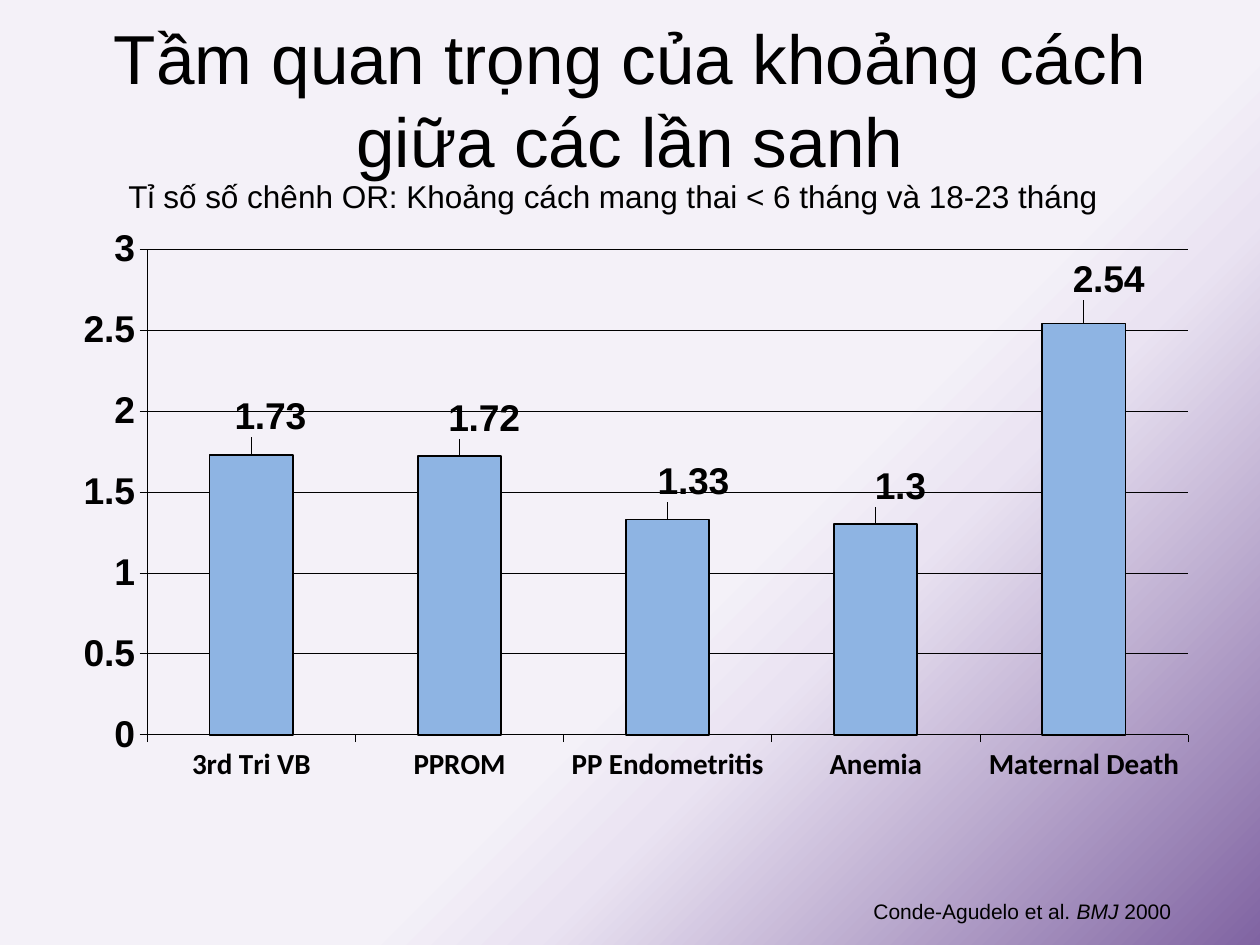
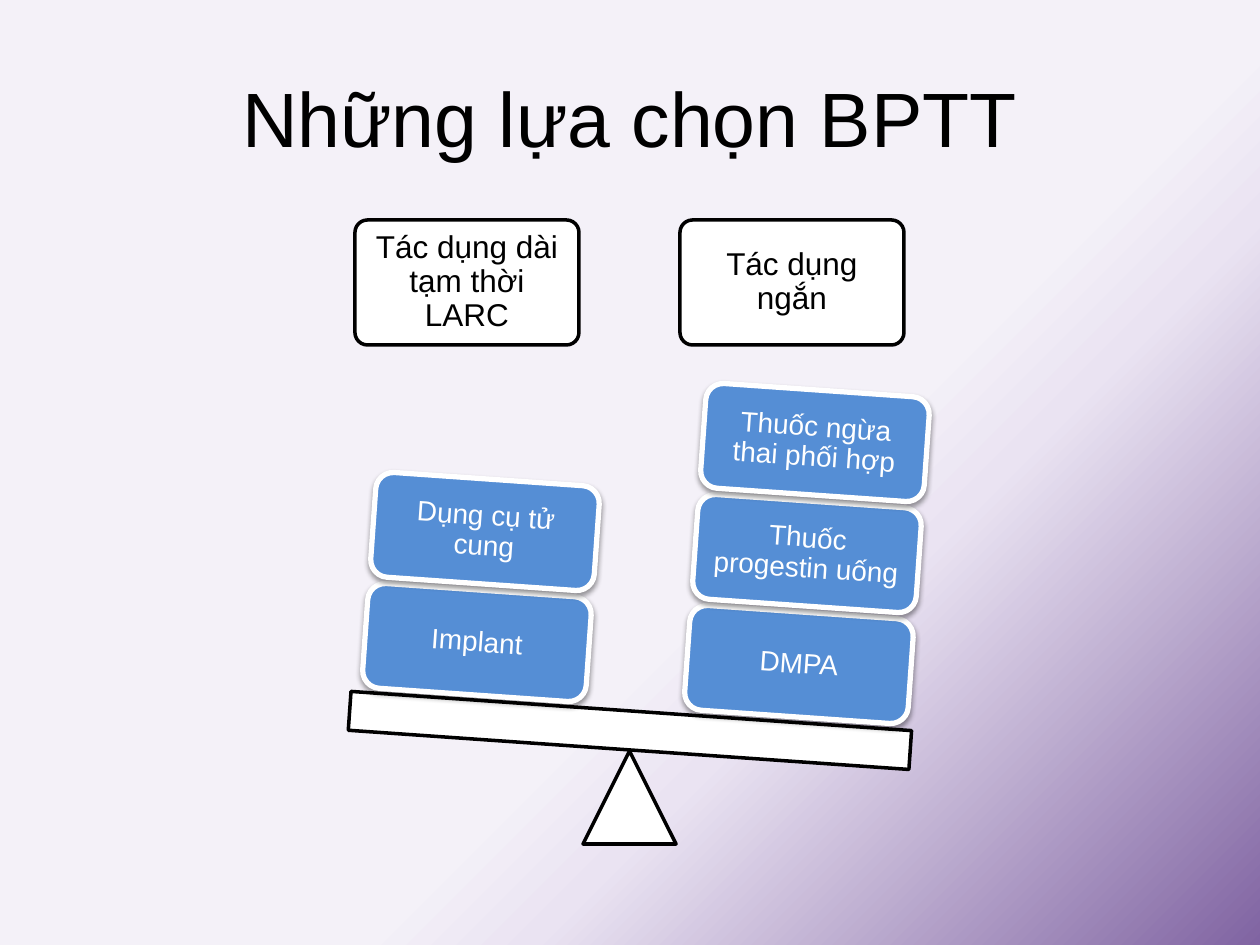
import pptx
import pptx.chart.data
import pptx.dml.color
import pptx.enum.chart
import pptx.enum.shapes
import pptx.enum.text
import pptx.oxml
import pptx.oxml.ns
import pptx.util

RGBColor = pptx.dml.color.RGBColor
BLACK = RGBColor(0x00, 0x00, 0x00)
WHITE = RGBColor(0xFF, 0xFF, 0xFF)
BAR_BLUE = RGBColor(0x8E, 0xB4, 0xE3)
BLOCK_BLUE = RGBColor(0x55, 0x8E, 0xD5)
PURPLE = RGBColor(0x80, 0x64, 0xA2)
LILAC = RGBColor(0xEA, 0xE3, 0xF2)
PALE = RGBColor(0xF4, 0xF1, 0xF8)

SCALE = 914400 / 126  # EMU in one px
SHAPES = pptx.enum.shapes.MSO_SHAPE
ALIGN = pptx.enum.text.PP_ALIGN
ANCHOR = pptx.enum.text.MSO_ANCHOR


def px(*lengths):
    return [round(length * SCALE) for length in lengths]


def xml(markup):
    """Parse one element whose tag may use the a: and c: prefixes."""
    tag, rest = markup[1:].split(">", 1)
    namespaces = pptx.oxml.ns.nsdecls("a", "c")
    return pptx.oxml.parse_xml(f"<{tag} {namespaces}>{rest}")


def set_font(font, size, name="Arial", color=BLACK, bold=None, italic=None):
    font.size, font.name = pptx.util.Pt(size), name
    font.bold, font.italic = bold, italic
    font.color.rgb = color


def write(frame, text, size=18, color=BLACK, align=ALIGN.LEFT,
          anchor=ANCHOR.TOP, inset=None, spacing=None, italic_part=None):
    """Fill a text frame with one paragraph; italic_part is set in italics."""
    frame.word_wrap = True
    frame.vertical_anchor = anchor
    if inset is not None:
        frame.margin_left = frame.margin_right = px(inset)[0]
        frame.margin_top = frame.margin_bottom = px(inset)[0]
    paragraph = frame.paragraphs[0]
    paragraph.alignment = align
    if spacing:
        paragraph.line_spacing = spacing
    if italic_part:
        before, after = text.split(italic_part)
        parts = [before, italic_part, after]
    else:
        parts = [text]
    for part in parts:
        run = paragraph.add_run()
        run.text = part
        set_font(run.font, size, color=color,
                 italic=True if part == italic_part else None)


def manual_layout(**values):
    fields = "".join(f'<c:{key} val="{value}"/>' for key, value in values.items())
    return xml(f"<c:layout><c:manualLayout>{fields}</c:manualLayout></c:layout>")


class Deck:
    def __init__(self):
        self.prs = pptx.Presentation()
        self.prs.slide_width, self.prs.slide_height = px(1260, 945)
        self.slide = None

    def new_slide(self, title, size=44, height=158):
        self.slide = self.prs.slides.add_slide(self.prs.slide_layouts[6])
        self.background()
        self.text((63, 38, 1134, height), title, size=size,
                  align=ALIGN.CENTER, anchor=ANCHOR.MIDDLE)

    def background(self):
        """Purple glow that spreads from the bottom right corner."""
        self.slide.background.fill.gradient()
        stops = "".join(
            f'<a:gs pos="{percent}000"><a:srgbClr val="{color}"/></a:gs>'
            for percent, color in ((0, PURPLE), (33, LILAC), (41, PALE), (100, PALE)))
        glow = xml(f'<a:gradFill rotWithShape="1"><a:gsLst>{stops}</a:gsLst>'
                   '<a:path path="circle"><a:fillToRect l="100000" t="100000"/>'
                   '</a:path></a:gradFill>')
        plain = self.slide.element.xpath(".//a:gradFill")[0]
        plain.getparent().replace(plain, glow)

    def text(self, box, text, **style):
        write(self.slide.shapes.add_textbox(*px(*box)).text_frame, text, **style)

    def shape(self, kind, box, text=None, fill=WHITE, line=BLACK, width=2,
              rotation=0, corner=None, shadow=False, **style):
        shape = self.slide.shapes.add_shape(kind, *px(*box))
        shape.rotation = rotation
        if corner is not None:
            shape.adjustments[0] = corner
        shape.fill.solid()
        shape.fill.fore_color.rgb = fill
        shape.line.color.rgb = line
        shape.line.width = pptx.util.Pt(width)
        shape.shadow.inherit = False
        if shadow:
            shape.element.spPr.xpath("a:effectLst")[0].append(xml(
                '<a:outerShdw blurRad="39400" dist="20300" dir="5400000" rotWithShape="0">'
                '<a:srgbClr val="000000"><a:alpha val="38000"/></a:srgbClr>'
                '</a:outerShdw>'))
        if text:
            write(shape.text_frame, text, align=ALIGN.CENTER,
                  anchor=ANCHOR.MIDDLE, inset=13, spacing=0.9, **style)

    def column_chart(self, box, odds_ratios, label_shifts):
        data = pptx.chart.data.CategoryChartData()
        data.categories = list(odds_ratios)
        data.add_series("Series 1", list(odds_ratios.values()))
        chart = self.slide.shapes.add_chart(
            pptx.enum.chart.XL_CHART_TYPE.COLUMN_CLUSTERED, *px(*box), data).chart
        chart.has_legend = chart.has_title = False
        set_font(chart.font, 21.3, "Times New Roman", bold=True)

        # Axes
        scale, names = chart.value_axis, chart.category_axis
        scale.minimum_scale, scale.maximum_scale, scale.major_unit = 0, 3, 0.5
        scale.has_major_gridlines = True
        names.tick_label_position = pptx.enum.chart.XL_TICK_LABEL_POSITION.LOW
        set_font(scale.tick_labels.font, 21.3, bold=True)
        set_font(names.tick_labels.font, 16.6, "Calibri", bold=True)
        for axis in (scale, names):
            axis.major_tick_mark = pptx.enum.chart.XL_TICK_MARK.OUTSIDE
        for part in (scale, names, scale.major_gridlines):
            part.format.line.color.rgb = BLACK
            part.format.line.width = pptx.util.Pt(0.25)

        # Bars and their labels
        plot = chart.plots[0]
        plot.gap_width, plot.vary_by_categories = 150, False
        bars = plot.series[0]
        bars.format.fill.solid()
        bars.format.fill.fore_color.rgb = BAR_BLUE
        bars.format.line.color.rgb = BLACK
        bars.format.line.width = pptx.util.Pt(1)
        for index in range(len(odds_ratios)):
            label = bars.points[index].data_label
            set_font(label.font, 21.3, bold=True)
            label.position = pptx.enum.chart.XL_LABEL_POSITION.OUTSIDE_END
        for label, (x, y) in zip(chart.element.xpath(".//c:ser//c:dLbl"), label_shifts):
            label[0].addnext(manual_layout(x=x, y=y))

        # Inner plot area
        area = chart.element.xpath("c:chart/c:plotArea")[0]
        for layout in area.xpath("c:layout"):
            area.remove(layout)
        area.insert(0, manual_layout(layoutTarget="inner", xMode="edge", yMode="edge",
                                     x=0.066, y=0.036, w=0.926, h=0.787))


def birth_spacing(deck):
    deck.new_slide("Tầm quan trọng của khoảng cách giữa các lần sanh",
                   size=39.6, height=120)
    odds_ratios = {"3rd Tri VB": 1.73, "PPROM": 1.72, "PP Endometritis": 1.33,
                   "Anemia": 1.3, "Maternal Death": 2.54}
    label_shifts = [(0.017, -0.02), (0.022, -0.02), (0.023, -0.02),
                    (0.022, -0.02), (0.022, -0.03)]
    deck.column_chart((73, 227, 1124, 617), odds_ratios, label_shifts)
    deck.text((116, 171, 1029, 89),
              "Tỉ số số chênh OR: Khoảng cách mang thai < 6 tháng và 18-23 tháng")
    deck.text((861, 892, 357, 38), "Conde-Agudelo et al. BMJ 2000",
              size=12, italic_part="BMJ ")


def contraceptive_choices(deck):
    deck.new_slide("Những lựa chọn BPTT")
    tilt = 4

    # Headings above the two sides
    for left, heading in ((355, "Tác dụng dài tạm thời LARC"), (680, "Tác dụng ngắn")):
        deck.shape(SHAPES.ROUNDED_RECTANGLE, (left, 220, 224, 125), heading, corner=0.1)

    # Seesaw
    deck.shape(SHAPES.ISOSCELES_TRIANGLE, (583, 751, 93, 93))
    deck.shape(SHAPES.RECTANGLE, (349, 711, 562, 39), rotation=tilt)

    # Methods stacked from the plank upwards, along its tilt
    stacks = [
        (687, 612, ["DMPA", "Thuốc progestin uống", "Thuốc ngừa thai phối hợp"]),
        (365, 590, ["Implant", "Dụng cụ tử cung"]),
    ]
    for left, top, methods in stacks:
        for level, method in enumerate(methods):
            deck.shape(SHAPES.ROUNDED_RECTANGLE,
                       (left + 8 * level, top - 111 * level, 224, 105), method,
                       fill=BLOCK_BLUE, line=WHITE, width=3, rotation=tilt,
                       shadow=True, size=16, color=WHITE)


def main():
    deck = Deck()
    birth_spacing(deck)
    contraceptive_choices(deck)
    deck.prs.save("out.pptx")


if __name__ == "__main__":
    main()
